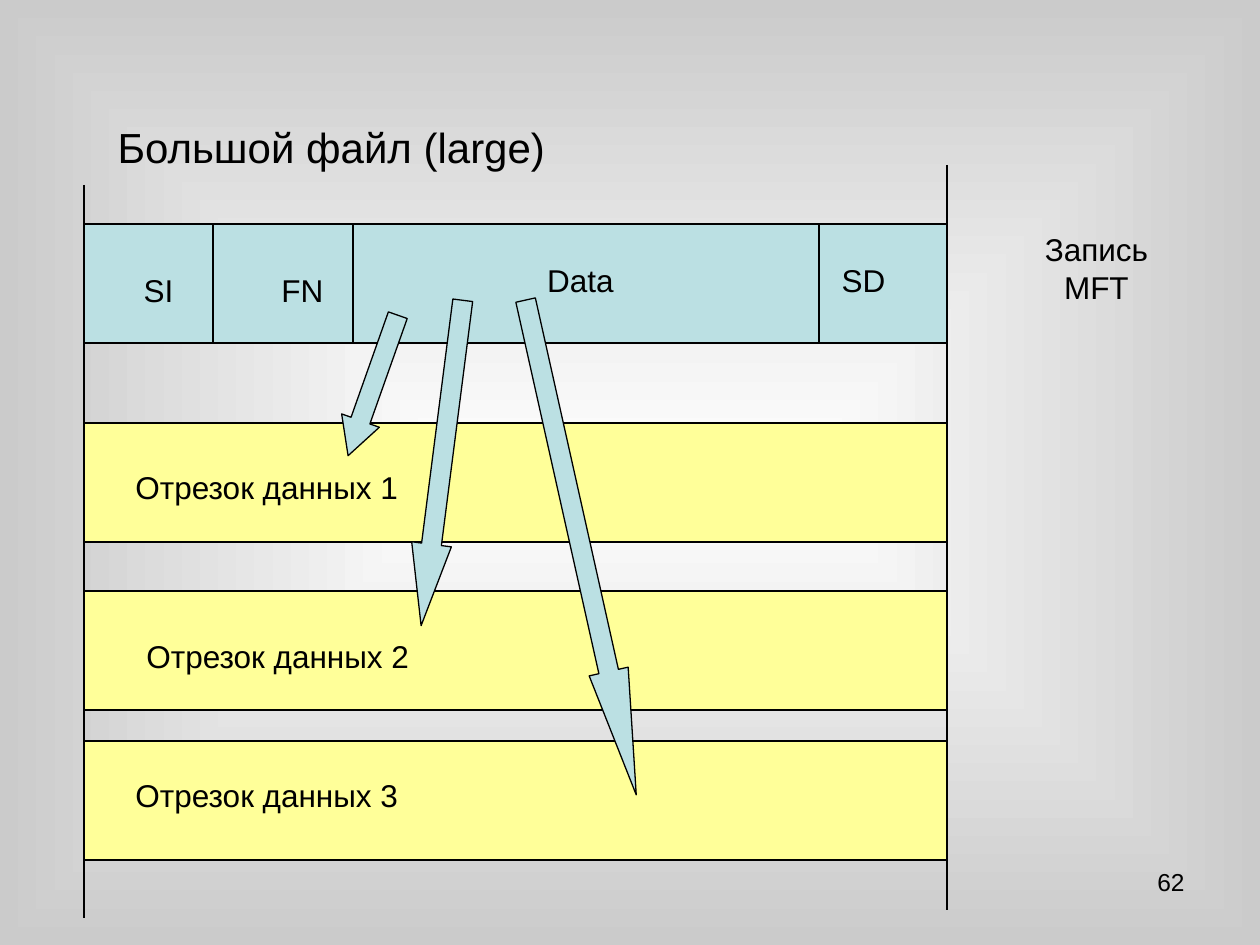
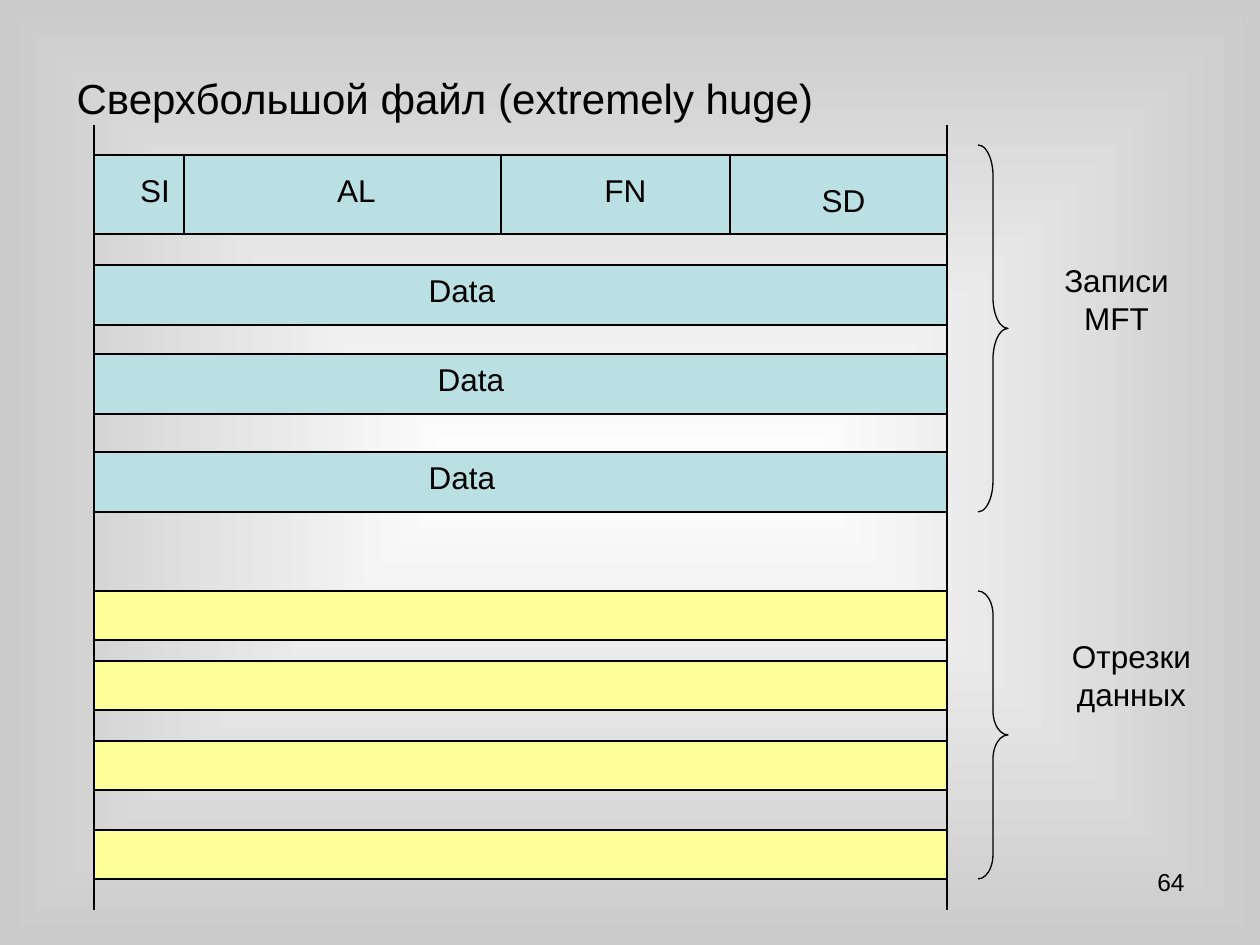
from lxml import etree
from pptx import Presentation
from pptx import util as u
from pptx.dml.color import RGBColor
from pptx.enum import shapes, text
from pptx.oxml.ns import qn

PX = 914400 / 126
BLACK, BLUE, YELLOW = "000000", "BBE0E3", "FFFF99"
CENTRE, EDGE = "FFFFFF", "CBCBCB"
FONT = "Arial"
LEFT, RIGHT, CENTER = text.PP_ALIGN.LEFT, text.PP_ALIGN.RIGHT, text.PP_ALIGN.CENTER
FRAME_RIGHT = 947


def px(*lengths):
    return [u.Emu(round(length * PX)) for length in lengths]


def colour(value):
    return RGBColor.from_string(value)


def set_background(master):
    fill = master.background.fill
    fill.gradient()
    for stop, value in zip(fill.gradient_stops, (CENTRE, EDGE)):
        stop.color.rgb = colour(value)
    linear = next(master.element.iter(qn("a:lin")))
    gradient = linear.getparent()
    radial = etree.Element(qn("a:path"), path="shape")
    etree.SubElement(radial, qn("a:fillToRect"), {side: "50000" for side in "ltrb"})
    gradient.replace(linear, radial)


def write(box, wording, size, align):
    frame = box.text_frame
    frame.word_wrap = True
    frame.auto_size = text.MSO_AUTO_SIZE.NONE
    frame.vertical_anchor = text.MSO_ANCHOR.TOP
    frame.text = wording
    para = frame.paragraphs[0]
    para.alignment = align
    para.font.size = u.Pt(size)
    para.font.name = FONT
    para.font.color.rgb = colour(BLACK)


def add_label(page, wording, left, top, width, height=50, size=18, align=CENTER):
    box = page.shapes.add_textbox(*px(left, top, width, height))
    write(box, wording, size, align)


def add_figure(page, kind, left, top, width, height, fill=None, adjustments=(), rotation=0):
    shape = page.shapes.add_shape(kind, *px(left, top, width, height))
    shape.shadow.inherit = False
    if fill:
        shape.fill.solid()
        shape.fill.fore_color.rgb = colour(fill)
    else:
        shape.fill.background()
    shape.line.color.rgb = colour(BLACK)
    shape.line.width = u.Pt(0.75)
    for index, value in enumerate(adjustments):
        shape.adjustments[index] = value
    shape.rotation = rotation


def add_band(page, left, top, height, fill):
    add_figure(page, shapes.MSO_SHAPE.RECTANGLE, left, top, FRAME_RIGHT - left, height, fill)


def add_brace(page, top, height, curve):
    add_figure(page, shapes.MSO_SHAPE.RIGHT_BRACE, 978, top, 30, height,
               adjustments=(curve, 0.5))


def add_arrow(page, left, top, height, rotation, head):
    add_figure(page, shapes.MSO_SHAPE.DOWN_ARROW, left, top, 40, height, BLUE,
               (0.5, head), rotation)


def add_vertical(page, x, top, bottom):
    line = page.shapes.add_connector(shapes.MSO_CONNECTOR.STRAIGHT, *px(x, top, x, bottom))
    line.line.color.rgb = colour(BLACK)
    line.line.width = u.Pt(0.75)
    etree.SubElement(line.element.spPr, qn("a:effectLst"))


def add_record(page, left, top, height, dividers, fields):
    add_band(page, left, top, height, BLUE)
    for x in dividers:
        add_vertical(page, x, top, top + height)
    for name, field_left, field_top, width in fields:
        add_label(page, name, field_left, field_top, width)


def add_page(deck, title, left, top, number):
    page = deck.slides.add_slide(deck.slide_layouts[5])
    heading = page.shapes.title
    heading.left, heading.top, heading.width, heading.height = px(left, top, 1072, 63)
    write(heading, title, 24, LEFT)
    add_label(page, number, 903, 861, 294, 66, 14, RIGHT)
    return page


def build_large_file(deck):
    page = add_page(deck, "Большой файл (large)", 105, 115, "62")
    left = 84
    add_record(page, left, 224, 119, (213, 353, 819), (
        ("SI", 94, 265, 129), ("FN", 233, 265, 139),
        ("Data", 491, 255, 179), ("SD", 799, 255, 129)))
    add_label(page, "Запись MFT", 1007, 224, 179, 88)
    extents = ((423, 123, 462), (591, 134, 631), (741, 123, 770))
    for index, (top, label_left, label_top) in enumerate(extents, 1):
        add_band(page, left, top, 119, YELLOW)
        add_label(page, f"Отрезок данных {index}", label_left, label_top, 297, align=LEFT)
    add_vertical(page, left, 185, 918)
    add_vertical(page, FRAME_RIGHT, 165, 910)
    for arrow in ((353, 311, 149, 19.5, 0.93),
                  (422, 299, 328, 7.3, 2.05),
                  (561, 294, 507, 347.4, 3.16)):
        add_arrow(page, *arrow)


def build_huge_file(deck):
    page = add_page(deck, "Сверхбольшой файл (extremely huge)", 64, 66, "64")
    left = 94
    add_record(page, left, 155, 79, (184, 501, 730), (
        ("SI", 105, 165, 100), ("AL", 292, 165, 129),
        ("FN", 561, 165, 129), ("SD", 779, 175, 129)))
    for top, label_left in ((265, 353), (354, 362), (452, 353)):
        add_band(page, left, top, 60, BLUE)
        add_label(page, "Data", label_left, top, 218)
    for top in (591, 661, 741, 830):
        add_band(page, left, top, 49, YELLOW)
    for x in (left, FRAME_RIGHT):
        add_vertical(page, x, 125, 910)
    add_brace(page, 145, 367, 1.03)
    add_label(page, "Записи MFT", 1037, 255, 159, 88)
    add_brace(page, 591, 288, 0.81)
    add_label(page, "Отрезки данных", 1057, 631, 149, 88)


def main():
    deck = Presentation()
    deck.slide_width, deck.slide_height = px(1260, 945)
    set_background(deck.slide_master)
    build_large_file(deck)
    build_huge_file(deck)
    deck.save("out.pptx")


if __name__ == "__main__":
    main()
